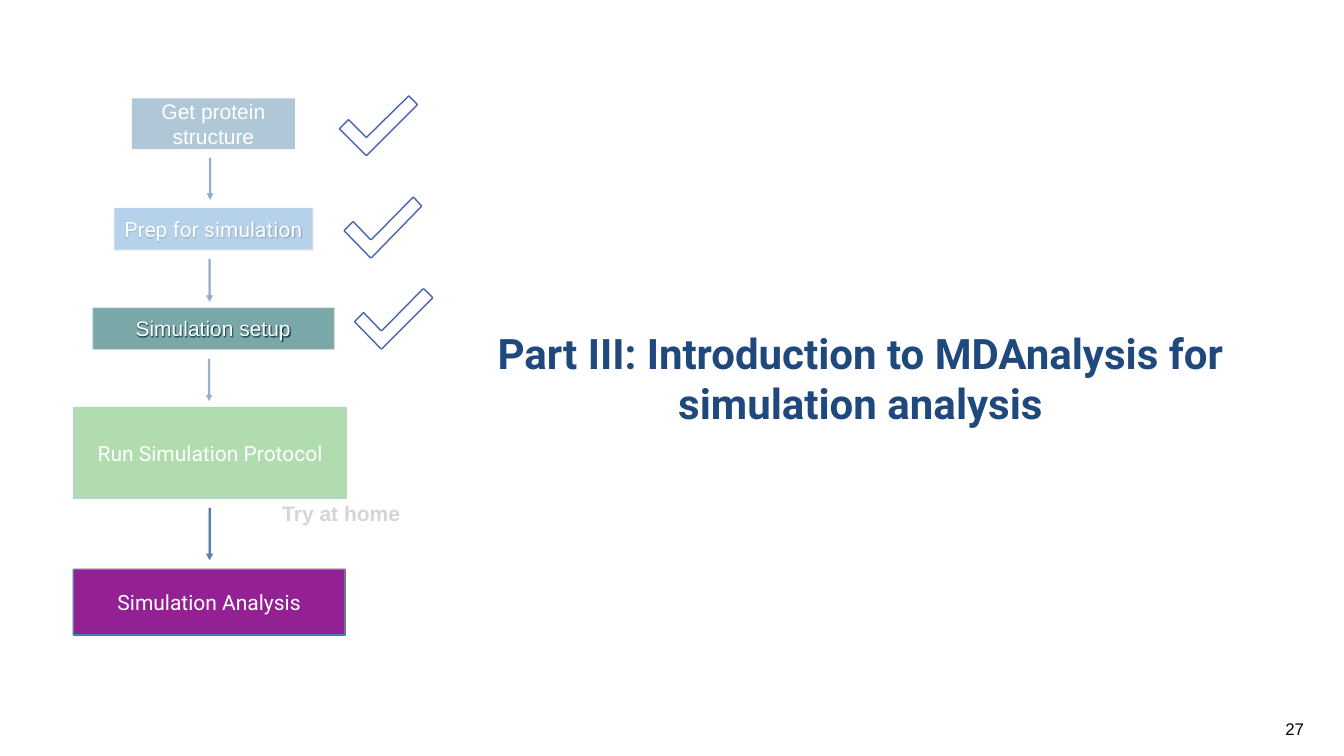
from lxml import etree
from pptx import Presentation
from pptx.dml.color import RGBColor
from pptx.enum import shapes, text
from pptx.oxml.ns import qn
from pptx.util import Pt

WHITE = RGBColor(0xFF, 0xFF, 0xFF)
BLACK = RGBColor(0, 0, 0)
NAVY = RGBColor(0x1F, 0x49, 0x7D)
BLUE = RGBColor(0x4F, 0x81, 0xBD)
INDIGO = RGBColor(0x4A, 0x66, 0xAC)
GREY = RGBColor(0xD5, 0xD5, 0xD5)
SLATE = RGBColor(0x00, 0x4D, 0x80)
SKY = RGBColor(0x51, 0xA7, 0xF9)
TEAL = RGBColor(0x00, 0x91, 0x93)
GREEN = RGBColor(0x00, 0x8F, 0x00)
PURPLE = RGBColor(0x94, 0x21, 0x93)

# Steps: words, font, centre x, top, width, height, fill, opacity, edged, shadow
STEPS = [
    ("Get protein structure", "Arial", 304.9, 140.4, 232.6, 72.7, SLATE, 31, False, 0),
    ("Prep for simulation", "Roboto", 304.9, 297.4, 283, 59, SKY, 31, False, 35),
    ("Simulation setup", "Arial", 304.6, 439.9, 344.2, 59, TEAL, 31, False, 100),
    ("Run Simulation Protocol", "Roboto", 300.2, 581.8, 390.2, 130.3, GREEN, 31, True, 0),
    ("Simulation Analysis", "Roboto", 298.8, 813.6, 387.4, 92.2, PURPLE, 100, True, 100),
]
# Arrows: x, top, bottom, opacity
ARROWS = [
    (300.2, 225.4, 285.1, 47),
    (299.5, 370.1, 430.6, 47),
    (298.8, 512.6, 573.1, 43),
    (299.5, 725.8, 799.9, 100),
]
# Check marks: left, top; and their shared outline
CHECKS = [(485.3, 136.8), (491.8, 282.2), (506.9, 412.6)]
TICK = [(98.5, 0), (97.5, 0.7), (38.9, 59.5), (37.5, 59.5), (13, 34.5),
        (12.2, 34.5), (0, 46.8), (0, 47.6), (37.6, 85.4), (38.9, 85.4),
        (110.6, 13), (110.6, 12.2), (99.2, 0.3)]
# Labels: words, font, size, bold, colour, box, anchor, wrap
LABELS = [
    ("27", "Arial", 24, False, BLACK, (1831.7, 1022.4, 36, 36),
     text.MSO_ANCHOR.TOP, False),
    ("Part III: Introduction to MDAnalysis for simulation analysis", "Roboto",
     60, True, NAVY, (648, 463.7, 1162.8, 151.9), text.MSO_ANCHOR.MIDDLE, True),
    ("Try at home", "Arial", 30, True, GREY, (398.9, 710.6, 177.1, 43.9),
     text.MSO_ANCHOR.MIDDLE, False),
]


def fade(fill, pct):
    """Make a solid fill partly transparent."""
    if pct < 100:
        for clr in fill.iter(qn("a:srgbClr")):
            etree.SubElement(clr, qn("a:alpha"), val=str(pct * 1000))


def shade(props, pct):
    """Set a soft black shadow, or none when pct is 0."""
    fx = props.find(qn("a:effectLst"))
    if fx is None:
        fx = etree.SubElement(props, qn("a:effectLst"))
    if pct:
        cast = etree.SubElement(fx, qn("a:outerShdw"), blurRad="12700",
                                dist="0", dir="5400000", rotWithShape="0")
        clr = etree.SubElement(cast, qn("a:srgbClr"), val="000000")
        etree.SubElement(clr, qn("a:alpha"), val=str(pct * 1000))


def write(shape, words, font, size, bold, color, inset, anchor, wrap=True):
    frame = shape.text_frame
    frame.word_wrap = wrap
    frame.vertical_anchor = anchor
    frame.margin_left = frame.margin_right = Pt(inset)
    frame.margin_top = frame.margin_bottom = Pt(inset)
    para = frame.paragraphs[0]
    para.alignment = text.PP_ALIGN.CENTER
    run = para.add_run()
    run.text = words
    run.font.name, run.font.size, run.font.bold = font, Pt(size), bold
    run.font.color.rgb = color


deck = Presentation()
deck.slide_width, deck.slide_height = Pt(1920.24), Pt(1080)
slide = deck.slides.add_slide(deck.slide_layouts[6])
items = slide.shapes

# Title, page number and side note
for words, font, size, bold, color, box, anchor, wrap in LABELS:
    label = items.add_textbox(*map(Pt, box))
    write(label, words, font, size, bold, color, 4, anchor, wrap)
    label.text_frame.auto_size = text.MSO_AUTO_SIZE.SHAPE_TO_FIT_TEXT

# Workflow steps
for words, font, mid, top, wide, high, color, pct, edged, dark in STEPS:
    step = items.add_shape(shapes.MSO_SHAPE.RECTANGLE, Pt(mid - wide / 2),
                           Pt(top), Pt(wide), Pt(high))
    step.shadow.inherit = False
    step.fill.solid()
    step.fill.fore_color.rgb = color
    if edged:
        step.line.color.rgb = BLUE
        step.line.width = Pt(1)
    else:
        step.line.fill.background()
    fade(step._element.spPr, pct)
    shade(step._element.spPr, dark)
    write(step, words, font, 30, False, WHITE, 2, text.MSO_ANCHOR.MIDDLE)

# Arrows between the steps
for x, top, end, pct in ARROWS:
    arrow = items.add_connector(shapes.MSO_CONNECTOR.STRAIGHT,
                                Pt(x), Pt(top), Pt(x), Pt(end))
    arrow.line.color.rgb = BLUE
    arrow.line.width = Pt(3)
    line = arrow.line._get_or_add_ln()
    fade(line, pct)
    etree.SubElement(line, qn("a:tailEnd"), type="triangle")
    shade(arrow._element.spPr, 38)

# Check marks beside the finished steps
for left, top in CHECKS:
    path = [(left + x, top + y) for x, y in TICK]
    pen = items.build_freeform(*path[0], scale=float(Pt(1)))
    pen.add_line_segments(path[1:], close=True)
    check = pen.convert_to_shape()
    check.shadow.inherit = False
    check.fill.solid()
    check.fill.fore_color.rgb = WHITE
    check.line.color.rgb = INDIGO
    check.line.width = Pt(2)

deck.save("out.pptx")
